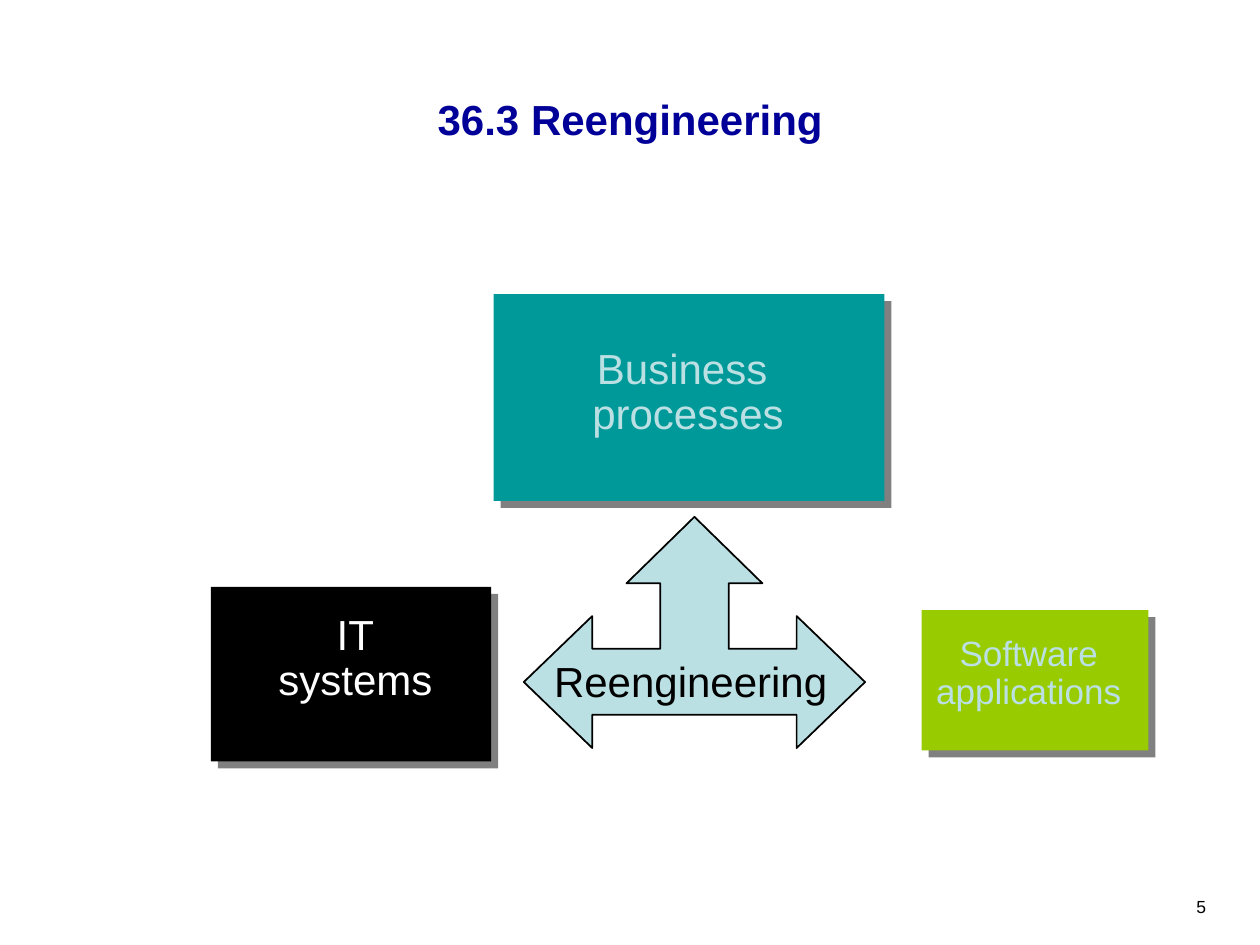
from lxml import etree
from pptx import Presentation
from pptx.dml.color import RGBColor
from pptx.enum import text
from pptx.enum import shapes
from pptx.oxml.ns import qn
from pptx.util import Cm, Pt

ALIGN = text.PP_ALIGN
ANCHOR = text.MSO_ANCHOR


def paint(color, tone):
    color.rgb = RGBColor.from_string(tone)


def fill(item, tone):
    item.fill.solid()
    paint(item.fill.fore_color, tone)


def write(frame, lines, size, tone, align, bold=False, space=None):
    for i, line in enumerate(lines):
        para = frame.add_paragraph() if i else frame.paragraphs[0]
        para.alignment = align
        para.line_spacing = space
        run = para.add_run()
        run.text = line
        run.font.name = "Arial"
        run.font.size = Pt(size)
        run.font.bold = bold
        paint(run.font.color, tone)


def title(slide, line):
    head = slide.shapes.title
    head.left, head.top, head.width, head.height = map(Cm, (3.39, 1.27, 18.63, 1.75))
    frame = head.text_frame
    frame.auto_size = text.MSO_AUTO_SIZE.NONE
    frame.vertical_anchor = ANCHOR.BOTTOM
    write(frame, [line], 24, "000099", ALIGN.CENTER, bold=True)


def shade(box):
    box.shadow.inherit = False
    effects = box._element.spPr.find(qn("a:effectLst"))
    drop = etree.SubElement(effects, qn("a:outerShdw"), dist="72390",
                            dir="2700000", algn="ctr", rotWithShape="0")
    etree.SubElement(drop, qn("a:srgbClr"), val="808080")


def block(slide, place, tone):
    box = slide.shapes.add_shape(shapes.MSO_SHAPE.RECTANGLE, *map(Cm, place))
    fill(box, tone)
    box.line.fill.background()
    shade(box)


def arrow(slide, mid, half):
    right = [(mid + x, y) for x, y in half]
    left = [(mid - x, y) for x, y in half[:0:-1]]
    start, *rest = [(Cm(x), Cm(y)) for x, y in right + left]
    pen = slide.shapes.build_freeform(*start)
    pen.add_line_segments(rest, close=True)
    shape = pen.convert_to_shape()
    shape.shadow.inherit = False
    fill(shape, "BBE0E3")
    paint(shape.line.color, "000000")
    shape.line.width = Pt(1)


def label(slide, place, lines, size, tone, align=ALIGN.CENTER):
    frame = slide.shapes.add_textbox(*map(Cm, place)).text_frame
    frame.word_wrap = False
    frame.auto_size = text.MSO_AUTO_SIZE.SHAPE_TO_FIT_TEXT
    write(frame, lines, size, tone, align, space=0.9)


def number(slide, line):
    frame = slide.shapes.add_textbox(*map(Cm, (20.96, 17.35, 3.6, 1.27))).text_frame
    frame.word_wrap = True
    frame.vertical_anchor = ANCHOR.BOTTOM
    write(frame, [line], 10, "000000", ALIGN.RIGHT)


def main():
    deck = Presentation()
    deck.slide_width, deck.slide_height = Cm(25.4), Cm(19.05)
    slide = deck.slides.add_slide(deck.slide_layouts[5])
    title(slide, "36.3 Reengineering")
    number(slide, "5")

    for place, tone in (
        ((9.95, 5.93, 7.88, 4.17), "009999"),
        ((4.25, 11.83, 5.65, 3.52), "000000"),
        ((18.58, 12.3, 4.57, 2.83), "99CC00"),
    ):
        block(slide, place, tone)

    arrow(slide, 14, [
        (0, 10.42), (1.37, 11.76), (0.69, 11.76), (0.69, 13.08), (2.06, 13.08),
        (2.06, 12.42), (3.44, 13.75), (2.06, 15.08), (2.06, 14.41),
    ])

    label(slide, (11.69, 6.89, 4.36, 2.09), ["Business ", "processes"], 24, "BBE0E3")
    label(slide, (5.36, 12.25, 3.61, 2.09), ["IT", "systems"], 24, "FFFFFF")
    label(slide, (18.62, 12.7, 4.24, 1.77), ["Software", "applications"], 20, "BBE0E3")
    label(slide, (10.92, 13.2, 6.02, 1.17), ["Reengineering"], 24, "000000", ALIGN.LEFT)
    deck.save("out.pptx")


if __name__ == "__main__":
    main()
